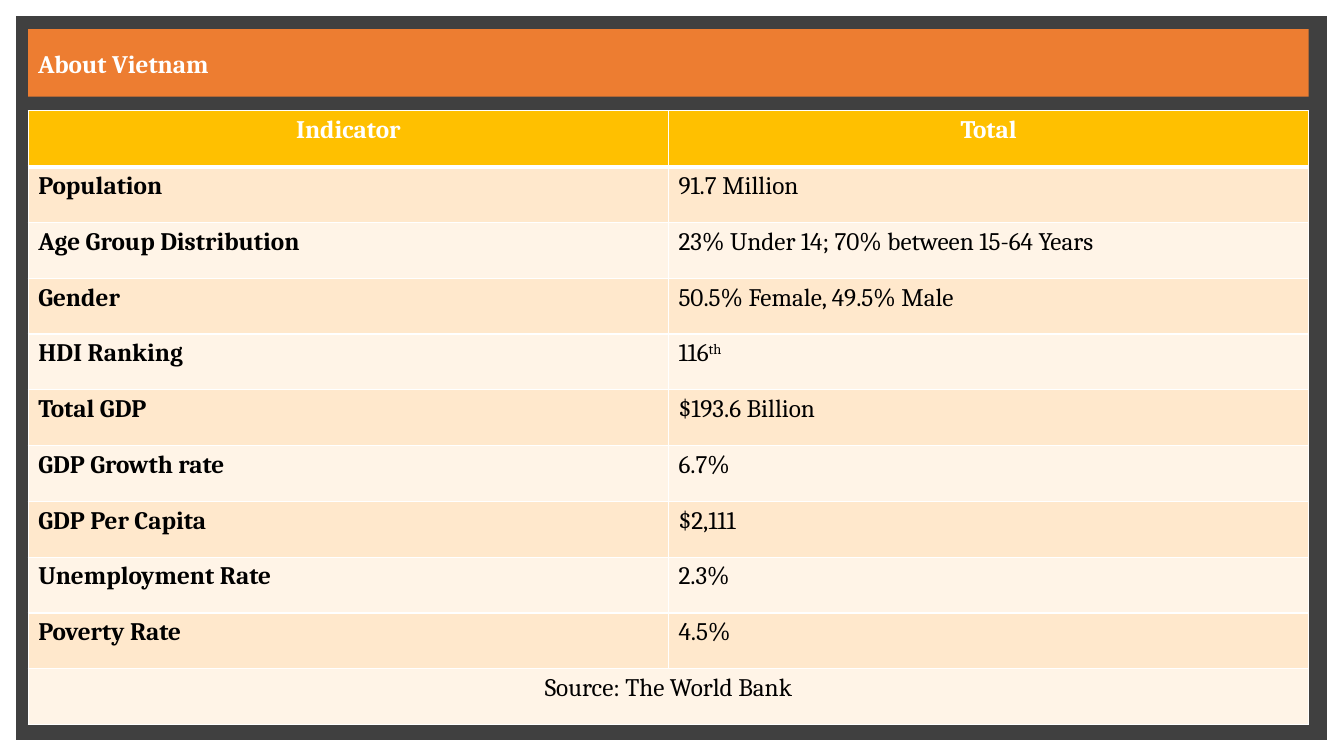
from lxml import etree
from pptx import Presentation
from pptx.dml.color import RGBColor
from pptx.enum.shapes import MSO_SHAPE
from pptx.enum.text import MSO_ANCHOR, PP_ALIGN
from pptx.oxml.ns import qn
from pptx.util import Inches, Pt

RECT = MSO_SHAPE.RECTANGLE
MIDDLE = MSO_ANCHOR.MIDDLE
LEFT, CENTER = PP_ALIGN.LEFT, PP_ALIGN.CENTER
WIDE, HIGH = 13.33, 7.5
EDGE, SPAN = 0.28 / WIDE, 12.7 / WIDE
WHITE, BLACK, GRAY = "FFFFFF", "000000", "404040"
ORANGE, GOLD = "ED7D31", "FFC000"
BANDS = ["FFF4E7", "FFE8CC"]

FACTS = [
    ("Indicator", "Total"),
    ("Population", "91.7 Million"),
    ("Age Group Distribution", "23% Under 14; 70% between 15-64 Years"),
    ("Gender", "50.5% Female, 49.5% Male"),
    ("HDI Ranking", "116^th"),
    ("Total GDP", "$193.6 Billion"),
    ("GDP Growth rate", "6.7%"),
    ("GDP Per Capita", "$2,111"),
    ("Unemployment Rate", "2.3%"),
    ("Poverty Rate", "4.5%"),
    ("Source: The World Bank", ""),
]


def tint(code):
    """Turn a hex string into a colour."""
    return RGBColor.from_string(code)


class Deck:
    """Hold the text style and the current slide, sized in slide shares."""

    def __init__(self, font, size):
        """Open a blank slide with one font and size."""
        self.font, self.size = font, size
        self.show = Presentation()
        self.show.slide_width, self.show.slide_height = Inches(WIDE), Inches(HIGH)
        self.slide = self.show.slides.add_slide(self.show.slide_layouts[6])

    def place(self, x, y, w, h):
        """Turn shares of the slide into lengths."""
        return [Inches(x * WIDE), Inches(y * HIGH), Inches(w * WIDE), Inches(h * HIGH)]

    def label(self, frame, text, color, bold, align=LEFT):
        """Set one styled line, raising what follows a caret."""
        line = frame.paragraphs[0]
        line.alignment = align
        base, _, top = text.partition("^")
        line.text = base
        if top:
            run = line.add_run()
            run.text = top
            run.font._element.set("baseline", "30000")
        for run in line.runs:
            run.font.name, run.font.size = self.font, Pt(self.size)
            run.font.bold = bold
            run.font.color.rgb = tint(color)

    def panel(self, box, fill, text=""):
        """Draw a plain filled panel with an optional heading."""
        shape = self.slide.shapes.add_shape(RECT, *self.place(*box))
        shape.shadow.inherit = False
        shape.fill.solid()
        shape.fill.fore_color.rgb = tint(fill)
        shape.line.fill.background()
        if text:
            shape.text_frame.vertical_anchor = MIDDLE
            self.label(shape.text_frame, text, WHITE, True)

    def border(self, cell, head):
        """Rule a cell in white, thicker below the header."""
        props = cell._tc.get_or_add_tcPr()
        for side in "LRTB":
            width = Pt(3) if head and side == "B" else Pt(1)
            rule = etree.SubElement(props, qn("a:ln" + side), w=str(width))
            fill = etree.SubElement(rule, qn("a:solidFill"))
            etree.SubElement(fill, qn("a:srgbClr"), val=WHITE)

    def table(self, box, facts):
        """Draw a banded table with a header and a merged last row."""
        place = self.place(*box)
        count, last = len(facts), len(facts) - 1
        grid = self.slide.shapes.add_table(count, 2, *place).table
        for row in grid.rows:
            row.height = int(place[3] / count)
        grid.cell(last, 0).merge(grid.cell(last, 1))
        for r, fact in enumerate(facts):
            head = r == 0
            for c, text in enumerate(fact):
                cell = grid.cell(r, c)
                self.border(cell, head)
                cell.fill.solid()
                cell.fill.fore_color.rgb = tint(GOLD if head else BANDS[r % 2])
                if text:
                    bold = head or (c == 0 and r < last)
                    align = CENTER if r in (0, last) else LEFT
                    self.label(cell.text_frame, text, WHITE if head else BLACK, bold, align)


def main():
    """Build and save the slide."""
    deck = Deck("Cambria", 18)
    deck.panel((0.16 / WIDE, 0.16 / HIGH, 13 / WIDE, 7.18 / HIGH), GRAY)
    deck.panel((EDGE, 0.29 / HIGH, SPAN, 0.67 / HIGH), ORANGE, "About Vietnam")
    deck.table((EDGE, 1.1 / HIGH, SPAN, 6.09 / HIGH), FACTS)
    deck.show.save("out.pptx")


if __name__ == "__main__":
    main()
